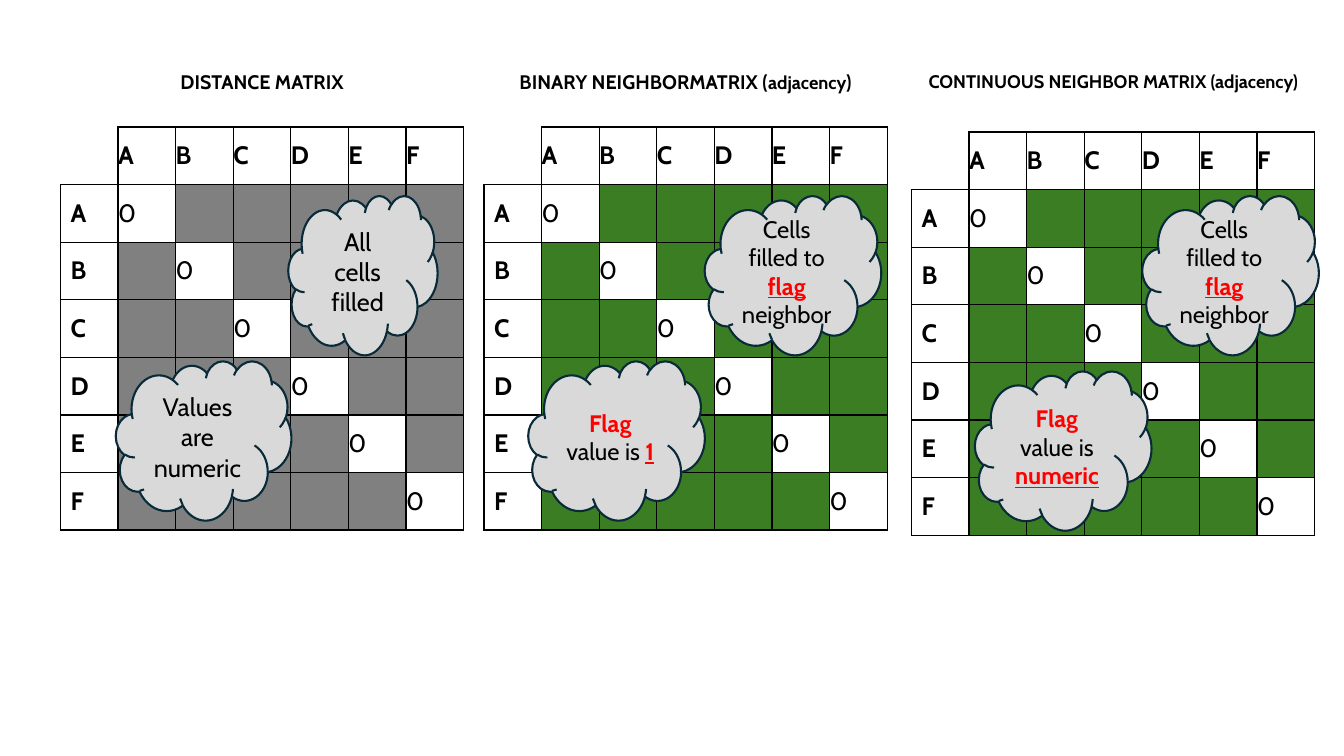
from lxml import etree
from pptx import Presentation
from pptx import util as u
from pptx.dml.color import RGBColor
from pptx.enum import shapes, text
from pptx.oxml import ns

BLACK = RGBColor(0x00, 0x00, 0x00)
WHITE = RGBColor(0xFF, 0xFF, 0xFF)
RED = RGBColor(0xFF, 0x00, 0x00)
GRAY = RGBColor(0x80, 0x80, 0x80)
GREEN = RGBColor(0x3B, 0x7D, 0x23)
CLOUD_FILL = RGBColor(0xD9, 0xD9, 0xD9)
CLOUD_LINE = RGBColor(0x09, 0x2A, 0x39)
FONT = "Cabin"
LABELS = "ABCDEF"
COUNT = len(LABELS) + 1
SIDE = 4


def write(para, content, size=18, color=BLACK, bold=False, underline=False):
    span = para.add_run()
    span.text = content
    span.font.name = FONT
    span.font.size = u.Pt(size)
    span.font.color.rgb = color
    span.font.bold = bold
    span.font.underline = underline


def draw_borders(cell, colors):
    properties = cell._tc.get_or_add_tcPr()
    for edge, color in zip("LRTB", colors):
        line = etree.SubElement(properties, ns.qn(f"a:ln{edge}"), w=str(u.Pt(1)))
        fill = etree.SubElement(line, ns.qn("a:solidFill"))
        etree.SubElement(fill, ns.qn("a:srgbClr"), val=str(color))


deck = Presentation()
deck.slide_width = u.Inches(13.33)
deck.slide_height = u.Inches(7.5)
page = deck.slides.add_slide(deck.slide_layouts[6])

matrices = [(0.6, 1.26, GRAY), (4.8, 1.26, GREEN), (9.04, 1.31, GREEN)]
for left, top, color in matrices:
    frame = page.shapes.add_table(
        COUNT, COUNT, u.Inches(left), u.Inches(top), u.Inches(SIDE), u.Inches(SIDE))
    table = frame.table
    table.first_row = False
    table.horz_banding = False
    for line in [*table.columns]:
        line.width = u.Inches(SIDE / COUNT)
    for line in table.rows:
        line.height = u.Inches(SIDE / COUNT)
    for row in range(COUNT):
        for col in range(COUNT):
            cell = table.cell(row, col)
            outer = WHITE if row == col == 0 else BLACK
            draw_borders(cell, [outer, BLACK, outer, BLACK])
            cell.vertical_anchor = text.MSO_ANCHOR.MIDDLE
            if col > 0:
                cell.margin_left = cell.margin_right = 0
                cell.margin_top = cell.margin_bottom = 0
            if row and col and row != col:
                cell.fill.solid()
                cell.fill.fore_color.rgb = color
                continue
            cell.fill.background()
            if row == col == 0:
                continue
            para = cell.text_frame.paragraphs[0]
            if row == col:
                write(para, "0")
            else:
                write(para, LABELS[max(row, col) - 1], bold=True)

strong = dict(size=17, color=RED, bold=True)
marked = dict(strong, underline=True)
plain = dict(size=17)
neighbor_note = [("Cells filled to ", plain), ("flag ", marked), ("neighbor", plain)]
flag_note = [("Flag ", strong), ("value is ", plain)]
clouds = [
    (2.86, 1.94, 1.48, [("All cells filled", {})]),
    (1.15, 3.58, 1.74, [("Values are numeric", {})]),
    (6.99, 1.94, 1.75, neighbor_note),
    (5.24, 3.58, 1.75, flag_note + [("1", marked)]),
    (11.33, 1.94, 1.75, neighbor_note),
    (9.67, 3.68, 1.75, flag_note + [("numeric", marked)]),
]
for left, top, width, spans in clouds:
    cloud = page.shapes.add_shape(
        shapes.MSO_SHAPE.CLOUD,
        u.Inches(left), u.Inches(top), u.Inches(width), u.Inches(1.58))
    cloud.shadow.inherit = False
    cloud.fill.solid()
    cloud.fill.fore_color.rgb = CLOUD_FILL
    cloud.line.color.rgb = CLOUD_LINE
    cloud.line.width = u.Pt(1.5)
    cloud.text_frame.word_wrap = True
    cloud.text_frame.vertical_anchor = text.MSO_ANCHOR.MIDDLE
    para = cloud.text_frame.paragraphs[0]
    para.alignment = text.PP_ALIGN.CENTER
    for content, style in spans:
        write(para, content, **style)

titles = [
    (0.6, 0.64, 0.34, [("DISTANCE MATRIX", 14)]),
    (4.8, 0.64, 0.34, [("BINARY NEIGHBORMATRIX (", 14), ("adjacency", 13), (")", 14)]),
    (9.04, 0.65, 0.32, [("CONTINUOUS NEIGHBOR MATRIX (adjacency)", 13)]),
]
for left, top, height, spans in titles:
    box = page.shapes.add_textbox(
        u.Inches(left), u.Inches(top), u.Inches(SIDE), u.Inches(height))
    box.text_frame.word_wrap = True
    box.text_frame.auto_size = text.MSO_AUTO_SIZE.SHAPE_TO_FIT_TEXT
    para = box.text_frame.paragraphs[0]
    para.alignment = text.PP_ALIGN.CENTER
    for content, size in spans:
        write(para, content, size=size, bold=True)

deck.save("out.pptx")
